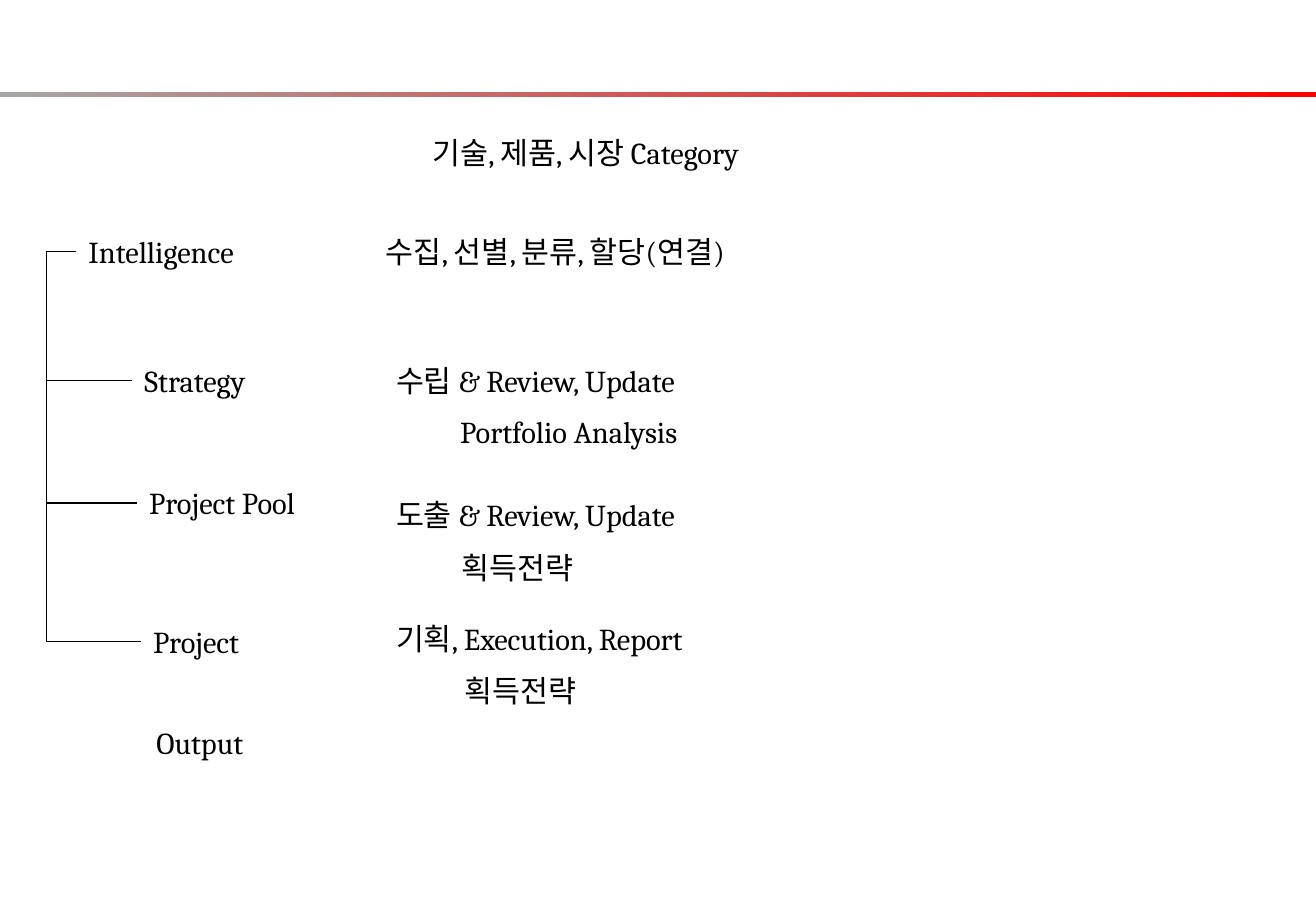
"""Build a slide that maps intelligence, strategy and project levels to their activities."""
from dataclasses import dataclass

from lxml import etree
from pptx import Presentation
from pptx import util as u
from pptx.dml.color import RGBColor
from pptx.enum import shapes, text
from pptx.oxml.ns import qn


@dataclass(frozen=True)
class Theme:
    font: str = "Cambria"
    size: int = 18
    ink: RGBColor = RGBColor(0, 0, 0)
    bar_start: RGBColor = RGBColor(0xA6, 0xA6, 0xA6)
    bar_end: RGBColor = RGBColor(0xFF, 0, 0)
    line: float = 0.75


theme = Theme()
deck = Presentation()
deck.slide_width, deck.slide_height = u.Cm(27.51), u.Cm(19.05)
page = deck.slides.add_slide(deck.slide_layouts[6])


def add_text(words, left, top, width, height=1.02, size=theme.size, color=theme.ink):
    box = page.shapes.add_textbox(u.Cm(left), u.Cm(top), u.Cm(width), u.Cm(height))
    box.text_frame.word_wrap = True
    box.text_frame.auto_size = text.MSO_AUTO_SIZE.SHAPE_TO_FIT_TEXT
    para = box.text_frame.paragraphs[0]
    span = para.add_run()
    span.text = words
    span.font.name = theme.font
    span.font.size = u.Pt(size)
    span.font.color.rgb = color
    return box


bar = page.shapes.add_shape(
    shapes.MSO_SHAPE.RECTANGLE, 0, u.Cm(1.93), deck.slide_width, u.Cm(0.1))
bar.shadow.inherit = False
bar.line.fill.background()
bar.fill.gradient()
bar.fill.gradient_angle = 0
for stop, color, position in zip(
        bar.fill.gradient_stops, (theme.bar_start, theme.bar_end), (0, 1)):
    stop.color.rgb = color
    stop.position = position

root = add_text("Intelligence", 1.6, 4.75, 3.71)
branches = [
    add_text(words, left, top, width)
    for words, left, top, width in (
        ("Strategy", 2.77, 7.44, 2.77),
        ("Project Pool", 2.87, 10.01, 3.81),
        ("Project", 2.95, 12.9, 2.46),
    )
]

for words, left, top, width in (
    ("기술, 제품, 시장 Category", 8.79, 2.69, 7.49),
    ("수집, 선별, 분류, 할당(연결)", 7.82, 4.75, 8.53),
    ("수립 & Review, Update", 8.03, 7.44, 6.71),
    ("Portfolio Analysis", 9.37, 8.51, 5.33),
    ("도출 & Review, Update", 8.03, 10.26, 6.71),
    ("획득전략", 9.4, 11.35, 3.07),
    ("기획, Execution, Report", 8.03, 12.85, 6.93),
    ("획득전략", 9.47, 13.94, 3.07),
    ("Output", 3.02, 15.01, 2.44),
):
    add_text(words, left, top, width)

spine_offset = u.Cm(0.63)
for branch in branches:
    link = page.shapes.add_connector(
        shapes.MSO_CONNECTOR.ELBOW,
        root.left, root.top + root.height // 2,
        branch.left, branch.top + branch.height // 2)
    link.begin_connect(root, 1)
    link.end_connect(branch, 1)
    link.line.color.rgb = theme.ink
    link.line.width = u.Pt(theme.line)
    properties = link._element.spPr
    etree.SubElement(properties, qn("a:effectLst"))
    bend = round(-100000 * spine_offset / (branch.left - root.left))
    guides = properties.find(qn("a:prstGeom")).find(qn("a:avLst"))
    etree.SubElement(guides, qn("a:gd"), name="adj1", fmla=f"val {bend}")

deck.save("out.pptx")
